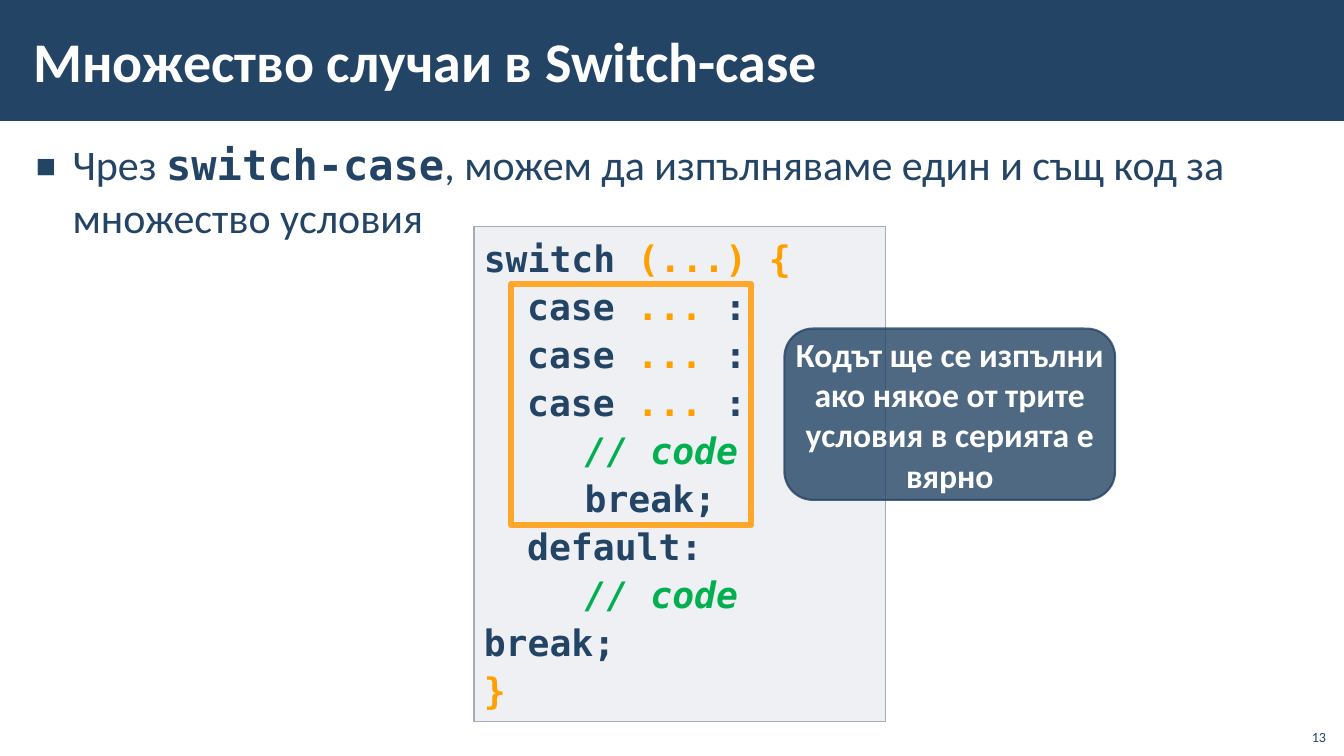
from lxml import etree
from pptx import Presentation
from pptx.dml.color import RGBColor
from pptx.enum.shapes import MSO_SHAPE
from pptx.enum.text import MSO_ANCHOR, PP_ALIGN
from pptx.oxml.ns import qn
from pptx.util import Inches, Pt

RECTANGLE, ROUNDED = MSO_SHAPE.RECTANGLE, MSO_SHAPE.ROUNDED_RECTANGLE
TOP, MIDDLE, BOTTOM = MSO_ANCHOR.TOP, MSO_ANCHOR.MIDDLE, MSO_ANCHOR.BOTTOM
LEFT, CENTER, RIGHT = PP_ALIGN.LEFT, PP_ALIGN.CENTER, PP_ALIGN.RIGHT

COLORS = {
    "navy": "234465", "white": "FFFFFF", "orange": "FFA000", "green": "00B050",
    "panel": "C2C7D2", "panel_line": "A3ABBC", "frame": "FFA72A",
}
SANS, MONO = "Calibri", "DejaVu Sans Mono"

TITLE = "Множество случаи в Switch-case"
BODY = [
    ("Чрез ", SANS, False),
    ("switch-case", MONO, True),
    (", можем да изпълняваме един и същ код за ", SANS, False),
    ("множество условия", SANS, False),
]
CALLOUT = "Кодът ще се изпълни ако някое от трите условия в серията е вярно"
PAGE_NUMBER = "13"

CODE_INDENTS = [0, 0.43, 1]
CASE = (1, [("case ", "navy"), ("... ", "orange"), (":", "navy")])
COMMENT = (2, [("// code", "green")])
CODE = [
    (0, [("switch ", "navy"), ("(...) {", "orange")]),
    CASE, CASE, CASE,
    COMMENT,
    (2, [("break;", "navy")]),
    (1, [("default:", "navy")]),
    COMMENT,
    (0, [("break;", "navy")]),
    (0, [("}", "orange")]),
]


def rgb(name):
    return RGBColor.from_string(COLORS[name])


def set_alpha(format_owner, percent):
    color = format_owner.fore_color._xFill.find(qn("a:srgbClr"))
    etree.SubElement(color, qn("a:alpha")).set("val", str(percent * 1000))


def add_box(page, kind, area, fill=None, line=None, width=1, alpha=100):
    box = page.shapes.add_shape(kind, *map(Inches, area))
    box.shadow.inherit = False
    if fill:
        box.fill.solid()
        box.fill.fore_color.rgb = rgb(fill)
        set_alpha(box.fill, alpha)
    else:
        box.fill.background()
    if line:
        box.line.color.rgb = rgb(line)
        box.line.width = Pt(width)
    else:
        box.line.fill.background()
    return box


def prepare_text(box, anchor, side=0.1, edge=0.05):
    frame = box.text_frame
    frame.word_wrap = True
    frame.vertical_anchor = anchor
    frame.margin_left = frame.margin_right = Inches(side)
    frame.margin_top = frame.margin_bottom = Inches(edge)
    return frame


def add_span(para, text, size, color, font=SANS, bold=False, italic=False):
    span = para.add_run()
    span.text = text
    span.font.name = font
    span.font.size = Pt(size)
    span.font.bold = bold
    span.font.italic = italic
    span.font.color.rgb = rgb(color)


def add_text(page, area, anchor, side=0.12, edge=0.04):
    return prepare_text(page.shapes.add_textbox(*map(Inches, area)), anchor, side, edge)


def add_body(page):
    para = add_text(page, (0.21, 1.31, 12.92, 6.05), TOP).paragraphs[0]
    para.line_spacing = 1.05
    para.space_before = para.space_after = Pt(6)
    properties = para._p.get_or_add_pPr()
    properties.set("marL", str(Inches(0.39)))
    properties.set("indent", str(-Inches(0.39)))
    etree.SubElement(properties, qn("a:buFont")).set("typeface", MONO)
    etree.SubElement(properties, qn("a:buChar")).set("char", "▪")
    for index, (text, font, bold) in enumerate(BODY):
        if index == len(BODY) - 1:
            para.add_line_break()
        add_span(para, text, 30, "navy", font, bold)


def add_code(page):
    panel = add_box(page, RECTANGLE, (4.7, 2.25, 4.08, 4.91), "panel", "panel_line", 1, 25)
    frame = prepare_text(panel, TOP)
    for index, (level, spans) in enumerate(CODE):
        para = frame.add_paragraph() if index else frame.paragraphs[0]
        para.alignment = LEFT
        para.line_spacing = 1.1
        para._p.get_or_add_pPr().set("marL", str(Inches(CODE_INDENTS[level])))
        for text, color in spans:
            add_span(para, text, 26, color, MONO, True, color == "green")


def add_callout(page):
    callout = add_box(page, ROUNDED, (7.78, 3.26, 3.28, 1.7), "navy", "navy", 1.5, 80)
    set_alpha(callout.line.fill, 80)
    para = prepare_text(callout, MIDDLE, 0, 0).paragraphs[0]
    para.alignment = CENTER
    add_span(para, CALLOUT, 24, "white", bold=True)


def main():
    """Build the slide on sharing code between several switch cases."""
    deck = Presentation()
    deck.slide_width, deck.slide_height = Inches(13.33), Inches(7.5)
    page = deck.slides.add_slide(deck.slide_layouts[6])
    add_box(page, RECTANGLE, (0, 0, 13.33, 1.2), "navy")
    add_body(page)
    title = add_text(page, (0.21, 0.11, 10.63, 0.97), MIDDLE).paragraphs[0]
    add_span(title, TITLE, 40, "white", bold=True)
    add_code(page)
    add_box(page, RECTANGLE, (5.07, 2.82, 2.38, 2.39), line="frame", width=4.5)
    add_callout(page)
    number = add_text(page, (12.85, 7.12, 0.4, 0.32), BOTTOM, 0.1, 0.05).paragraphs[0]
    number.alignment = RIGHT
    add_span(number, PAGE_NUMBER, 10, "navy")
    deck.save("out.pptx")


if __name__ == "__main__":
    main()
